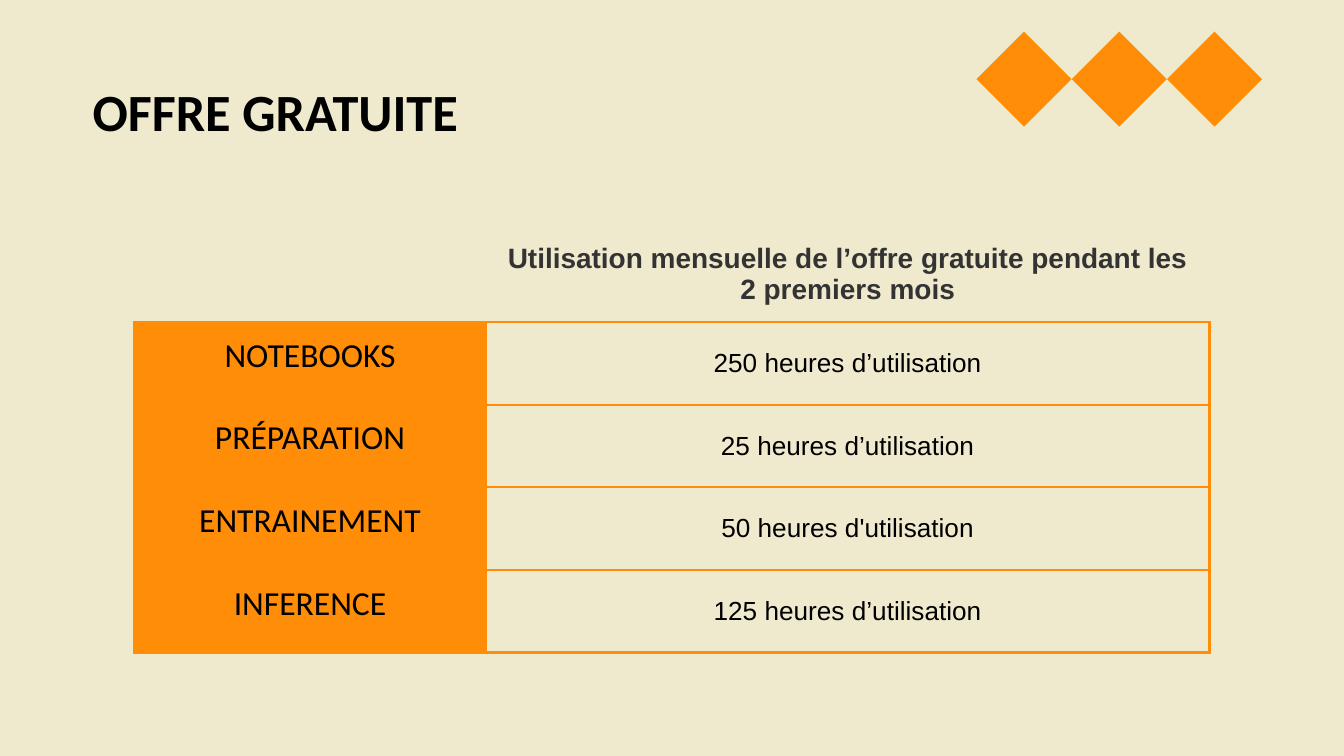
"""Build the slide that lists the monthly limits of the free offer."""
from lxml import etree
from pptx import Presentation
from pptx import util as u
from pptx.dml.color import RGBColor
from pptx.enum import shapes, text
from pptx.oxml import ns

ORANGE = RGBColor(0xFF, 0x8D, 0x07)
CREAM = RGBColor(0xEF, 0xE9, 0xCE)
BLACK = RGBColor(0, 0, 0)
GREY = RGBColor(0x33, 0x33, 0x33)

TITLE = "OFFRE GRATUITE"
HEADER = "Utilisation mensuelle de l’offre gratuite pendant les 2 premiers mois"
LIMITS = [
    ("NOTEBOOKS", "250 heures d’utilisation"),
    ("PRÉPARATION", "25 heures d’utilisation"),
    ("ENTRAINEMENT", "50 heures d'utilisation"),
    ("INFERENCE", "125 heures d’utilisation"),
]
COL_WIDTHS = [6.64, 13.68]
ROW_HEIGHTS = [1.8] + [1.56] * len(LIMITS)
INSET = u.Cm(0.25)
TOP, MIDDLE = text.MSO_ANCHOR.TOP, text.MSO_ANCHOR.MIDDLE


def write(tf, content, size, font="Arial", color=BLACK, bold=False,
          align=text.PP_ALIGN.CENTER):
    p = tf.paragraphs[0]
    p.alignment = align
    r = p.add_run()
    r.text = content
    r.font.name, r.font.size = font, u.Pt(size)
    r.font.bold, r.font.color.rgb = bold, color


def set_insets(box):
    box.margin_left = box.margin_right = INSET
    box.margin_top = box.margin_bottom = INSET


def set_borders(cell, visible_sides):
    tc_pr = cell._tc.get_or_add_tcPr()
    for side in "LRTB":
        ln = etree.SubElement(tc_pr, ns.qn(f"a:ln{side}"), w=str(u.Pt(1.5)))
        if side in visible_sides:
            fill = etree.SubElement(ln, ns.qn("a:solidFill"))
            etree.SubElement(fill, ns.qn("a:srgbClr"), val=str(ORANGE))
        else:
            etree.SubElement(ln, ns.qn("a:noFill"))


def add_diamonds(s, count=3, left=18.72, top=0.86, side=1.27, pitch=1.8):
    for i in range(count):
        sp = s.shapes.add_shape(shapes.MSO_SHAPE.RECTANGLE, u.Cm(left + i * pitch),
                                u.Cm(top), u.Cm(side), u.Cm(side))
        sp.rotation = 315
        sp.shadow.inherit = False
        sp.fill.solid()
        sp.fill.fore_color.rgb = ORANGE
        sp.line.fill.background()


def add_title(s):
    sp = s.shapes.title
    sp.left, sp.top, sp.width, sp.height = map(u.Cm, (1.5, 1.24, 11.76, 1.6))
    tf = sp.text_frame
    tf.word_wrap, tf.auto_size = True, text.MSO_AUTO_SIZE.NONE
    tf.vertical_anchor = TOP
    set_insets(tf)
    write(tf, TITLE, 28, font="Calibri", bold=True, align=text.PP_ALIGN.LEFT)


def add_limits_table(s):
    rows = [("", HEADER)] + LIMITS
    table = s.shapes.add_table(len(rows), len(COL_WIDTHS), u.Cm(2.54), u.Cm(4.29),
                               u.Cm(sum(COL_WIDTHS)), u.Cm(sum(ROW_HEIGHTS))).table
    table.first_row = table.horz_banding = False
    for column, width in zip(table.columns, COL_WIDTHS):
        column.width = u.Cm(width)
    for i, (row, height) in enumerate(zip(rows, ROW_HEIGHTS)):
        table.rows[i].height = u.Cm(height)
        for j, content in enumerate(row):
            cell = table.cell(i, j)
            set_borders(cell, "LRTB" if i else "B")
            set_insets(cell)
            cell.vertical_anchor = MIDDLE if j else TOP
            if i and not j:
                cell.fill.solid()
                cell.fill.fore_color.rgb = ORANGE
                write(cell.text_frame, content, 18, font="Calibri")
                continue
            cell.fill.background()
            if i:
                write(cell.text_frame, content, 14)
            elif content:
                write(cell.text_frame, content, 15, color=GREY, bold=True)


def main():
    prs = Presentation()
    prs.slide_width, prs.slide_height = u.Cm(25.4), u.Cm(14.29)
    s = prs.slides.add_slide(prs.slide_layouts[5])
    s.background.fill.solid()
    s.background.fill.fore_color.rgb = CREAM
    add_diamonds(s)
    add_title(s)
    add_limits_table(s)
    prs.save("out.pptx")


if __name__ == "__main__":
    main()
